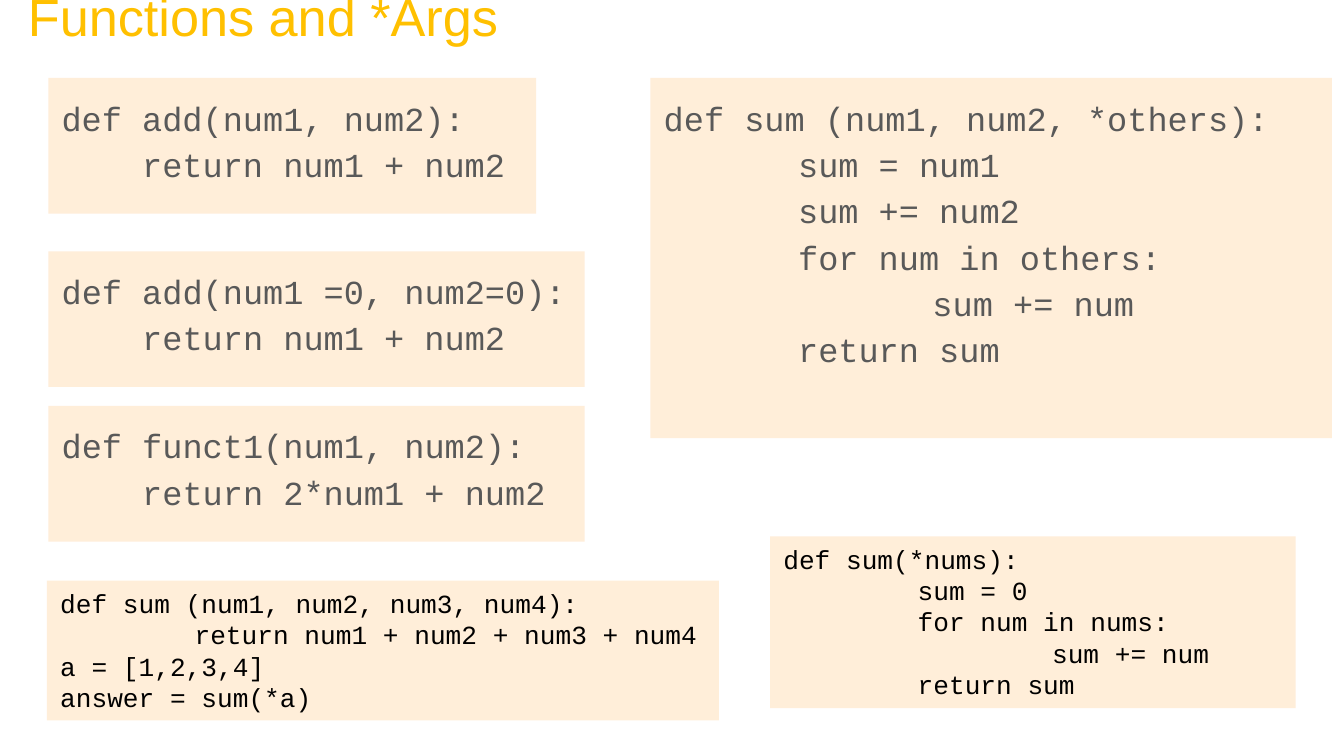
from pptx import Presentation
from pptx.dml.color import RGBColor
from pptx.enum.shapes import MSO_SHAPE
from pptx.enum.text import MSO_ANCHOR, PP_ALIGN
from pptx.util import Inches, Pt

CODE_FILL = "FFEED9"
GREY = "595959"
BLACK = "000000"
GOLD = "FFC000"


def color(hex_value):
    return RGBColor.from_string(hex_value)


def set_font(paragraph, name, size, hex_value):
    paragraph.font.name = name
    paragraph.font.size = Pt(size)
    paragraph.font.color.rgb = color(hex_value)


def set_margins(frame, horizontal, vertical):
    frame.margin_left = frame.margin_right = Inches(horizontal)
    frame.margin_top = frame.margin_bottom = Inches(vertical)


def add_title(slide, box, text):
    shape = slide.shapes.add_textbox(*map(Inches, box))
    frame = shape.text_frame
    frame.word_wrap = True
    set_margins(frame, 0.1, 0.1)
    frame.text = text
    set_font(frame.paragraphs[0], "Arial", 28, GOLD)


def add_code(slide, box, lines, size, hex_value, indent, margin, spacing):
    """Place a code panel; each line is (indent level, text)."""
    shape = slide.shapes.add_shape(MSO_SHAPE.RECTANGLE, *map(Inches, box))
    shape.shadow.inherit = False
    shape.fill.solid()
    shape.fill.fore_color.rgb = color(CODE_FILL)
    shape.line.fill.background()

    frame = shape.text_frame
    frame.word_wrap = True
    frame.vertical_anchor = MSO_ANCHOR.TOP
    set_margins(frame, 0.1, margin)
    frame.text = "\n".join(text for _, text in lines)
    for paragraph, (level, _) in zip(frame.paragraphs, lines):
        paragraph.alignment = PP_ALIGN.LEFT
        paragraph.line_spacing = spacing
        set_font(paragraph, "Courier New", size, hex_value)
        # Code indentation as a left paragraph margin
        paragraph._p.get_or_add_pPr().set("marL", str(Inches(indent * level)))


def add_large_code(slide, box, lines, indent):
    add_code(slide, box, lines, 18, GREY, indent, 0.1, 1.15)


def add_small_code(slide, box, lines):
    add_code(slide, box, lines, 14, BLACK, 1, 0.05, 1.0)


def main():
    presentation = Presentation()
    # Widescreen, 16:9
    presentation.slide_width = Inches(10)
    presentation.slide_height = Inches(10 * 9 / 16)
    slide = presentation.slides.add_slide(presentation.slide_layouts[6])

    add_title(slide, (0.11, -0.22, 9.32, 0.63), "Functions and *Args")

    # Two-line functions in the left column
    short_functions = [
        (0.58, 3.63, "def add(num1, num2):", "return num1 + num2"),
        (1.87, 3.99, "def add(num1 =0, num2=0):", "return num1 + num2"),
        (3.02, 3.99, "def funct1(num1, num2):", "return 2*num1 + num2"),
    ]
    for top, width, header, body in short_functions:
        add_large_code(slide, (0.36, top, width, 1.01), [(0, header), (1, body)], 0.6)

    # Function with extra arguments
    add_large_code(slide, (4.84, 0.58, 5.07, 2.68), [
        (0, "def sum (num1, num2, *others):"),
        (1, "sum = num1"),
        (1, "sum += num2"),
        (1, "for num in others:"),
        (2, "sum += num"),
        (1, "return sum"),
    ], 1)

    # Unpacking a list into arguments
    add_small_code(slide, (0.35, 4.32, 5, 1.04), [
        (0, "def sum (num1, num2, num3, num4):"),
        (1, "return num1 + num2 + num3 + num4"),
        (0, "a = [1,2,3,4]"),
        (0, "answer = sum(*a)"),
    ])

    # Any number of arguments
    add_small_code(slide, (5.73, 3.99, 3.91, 1.28), [
        (0, "def sum(*nums):"),
        (1, "sum = 0"),
        (1, "for num in nums:"),
        (2, "sum += num"),
        (1, "return sum"),
    ])

    presentation.save("out.pptx")


if __name__ == "__main__":
    main()
